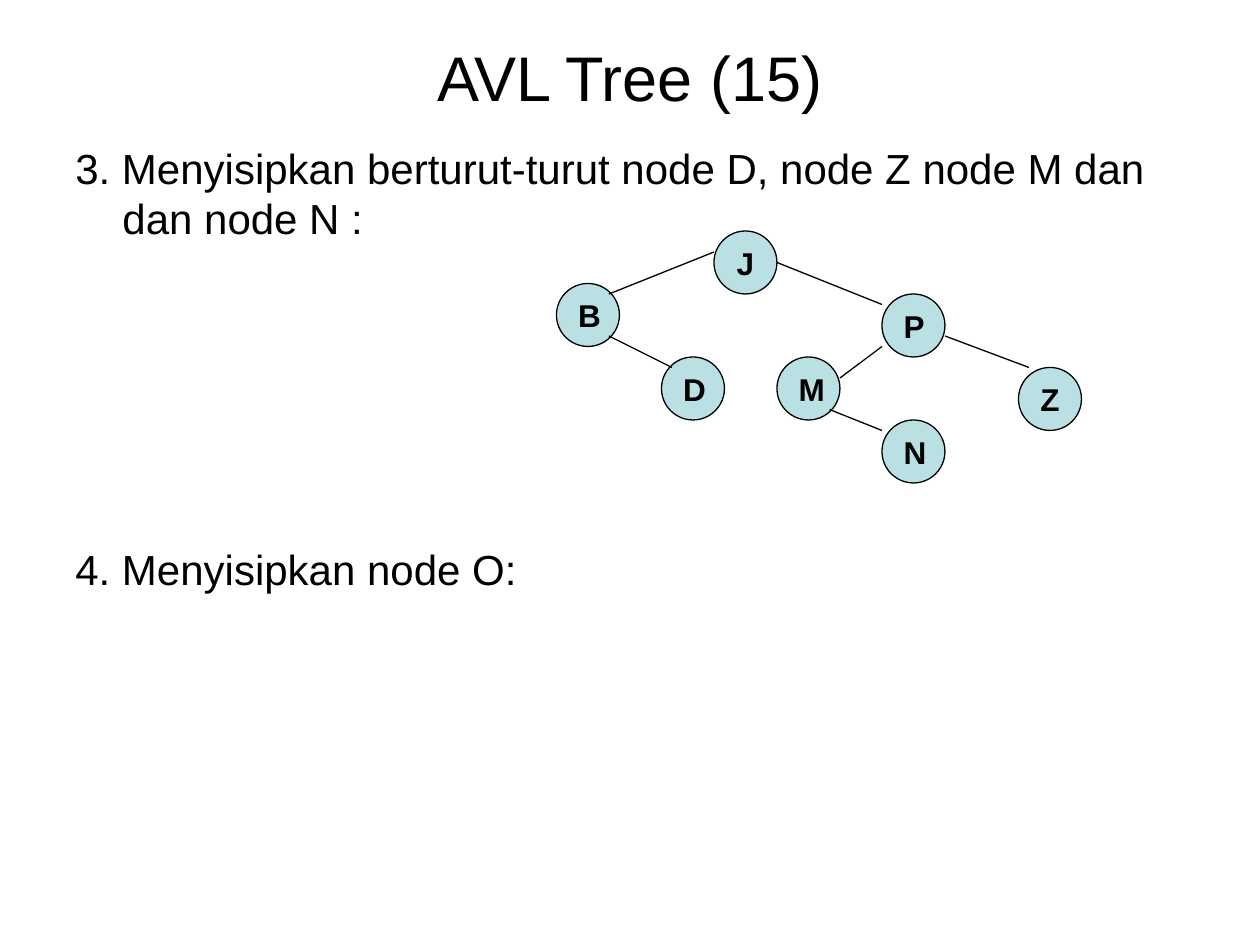
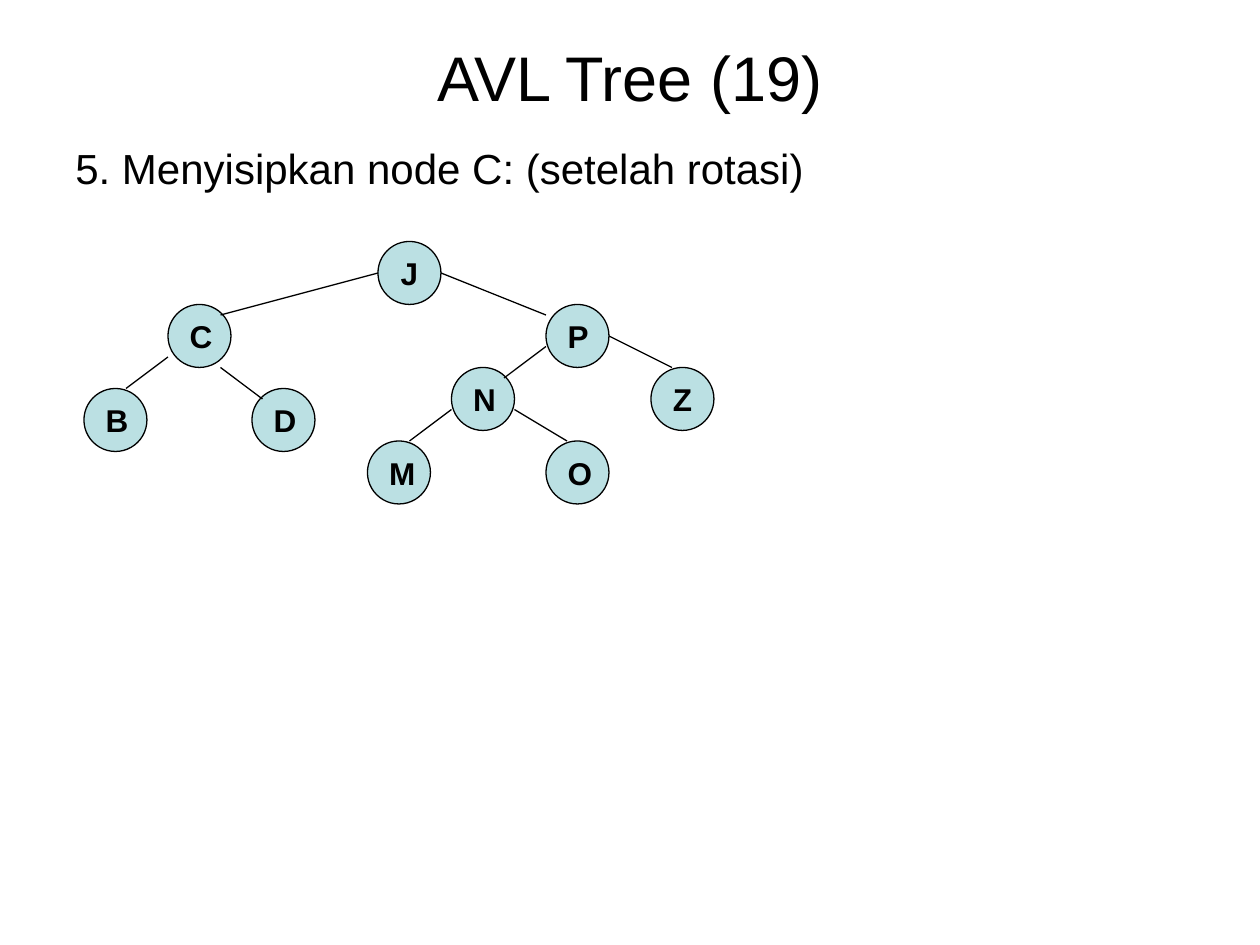
from lxml import etree
from pptx import Presentation
from pptx.dml.color import RGBColor
from pptx.enum import shapes, text
from pptx.oxml.ns import qn
from pptx.util import Cm, Pt

# Node positions (left, top) and branch ends, in grid steps of 1/12 inch
SLIDES = [
    {
        "title": "AVL Tree (15)",
        "steps": [
            "3. Menyisipkan berturut-turut node D, node Z node M dan dan node N :",
            "4. Menyisipkan node O:",
        ],
        "nodes": {
            "J": (68, 22), "B": (53, 27), "P": (84, 28), "N": (84, 40),
            "D": (63, 34), "M": (74, 34), "Z": (97, 35),
        },
        "branches": [
            (68, 24, 58, 28), (74, 25, 84, 29), (58, 32, 64, 35),
            (80, 36, 84, 33), (90, 32, 98, 35), (79, 39, 84, 41),
        ],
    },
    {
        "title": "AVL Tree (19)",
        "steps": ["5. Menyisipkan node C: (setelah rotasi)"],
        "nodes": {
            "J": (36, 23), "C": (16, 29), "P": (52, 29), "O": (52, 42),
            "D": (24, 37), "N": (43, 35), "Z": (62, 35), "M": (35, 42),
            "B": (8, 37),
        },
        "branches": [
            (36, 26, 21, 30), (42, 26, 52, 30), (58, 32, 64, 35),
            (48, 36, 52, 33), (49, 39, 54, 42), (21, 35, 25, 38),
            (39, 42, 43, 39), (12, 37, 16, 34),
        ],
    },
]

# Shared style
BLACK = RGBColor(0x00, 0x00, 0x00)
NODE_FILL = RGBColor(0xBB, 0xE0, 0xE3)
FONT = "Arial"
LINE_WIDTH = Pt(0.75)
NODE_STEPS = 6
LEFT, WIDTH = Cm(1.27), Cm(22.86)
HANGING_INDENT = Cm(0.95)
TREE_GAP = Pt(172)  # room for the tree between two steps


def grid(steps):
    return Cm(steps * 2.54 / 12)


def style_text(para, size, bold=False):
    para.font.name = FONT
    para.font.size = Pt(size)
    para.font.bold = bold
    para.font.color.rgb = BLACK


def add_text_box(page, top, height, anchor):
    box = page.shapes.add_textbox(LEFT, top, WIDTH, height)
    box.text_frame.word_wrap = True
    box.text_frame.vertical_anchor = anchor
    return box.text_frame


def add_title(page, title):
    frame = add_text_box(page, Cm(0.76), Cm(1.57), text.MSO_ANCHOR.MIDDLE)
    para = frame.paragraphs[0]
    para.text = title
    para.alignment = text.PP_ALIGN.CENTER
    style_text(para, 36)


def add_steps(page, steps):
    frame = add_text_box(page, Cm(2.74), Cm(15.24), text.MSO_ANCHOR.TOP)
    frame.text = "\n".join(steps)
    for number, para in enumerate(frame.paragraphs):
        style_text(para, 24)
        para.space_before = TREE_GAP if number else Pt(0)
        properties = para._p.get_or_add_pPr()
        properties.set("marL", str(HANGING_INDENT))
        properties.set("indent", str(-HANGING_INDENT))


def add_node(page, label, left, top):
    node = page.shapes.add_shape(
        shapes.MSO_SHAPE.OVAL, grid(left), grid(top),
        grid(NODE_STEPS), grid(NODE_STEPS))
    node.shadow.inherit = False
    node.fill.solid()
    node.fill.fore_color.rgb = NODE_FILL
    node.line.color.rgb = BLACK
    node.line.width = LINE_WIDTH
    node.text_frame.vertical_anchor = text.MSO_ANCHOR.MIDDLE
    para = node.text_frame.paragraphs[0]
    para.text = label
    para.alignment = text.PP_ALIGN.CENTER
    style_text(para, 18, bold=True)


def add_branch(page, ends):
    branch = page.shapes.add_connector(
        shapes.MSO_CONNECTOR.STRAIGHT, *(grid(end) for end in ends))
    branch.line.color.rgb = BLACK
    branch.line.width = LINE_WIDTH
    etree.SubElement(branch._element.spPr, qn("a:effectLst"))


def main():
    deck = Presentation()
    deck.slide_width, deck.slide_height = Cm(25.4), Cm(19.05)
    for content in SLIDES:
        page = deck.slides.add_slide(deck.slide_layouts[6])
        add_title(page, content["title"])
        add_steps(page, content["steps"])
        # Tree: nodes, then the branches over them
        for label, (left, top) in content["nodes"].items():
            add_node(page, label, left, top)
        for ends in content["branches"]:
            add_branch(page, ends)
    deck.save("out.pptx")


if __name__ == "__main__":
    main()
